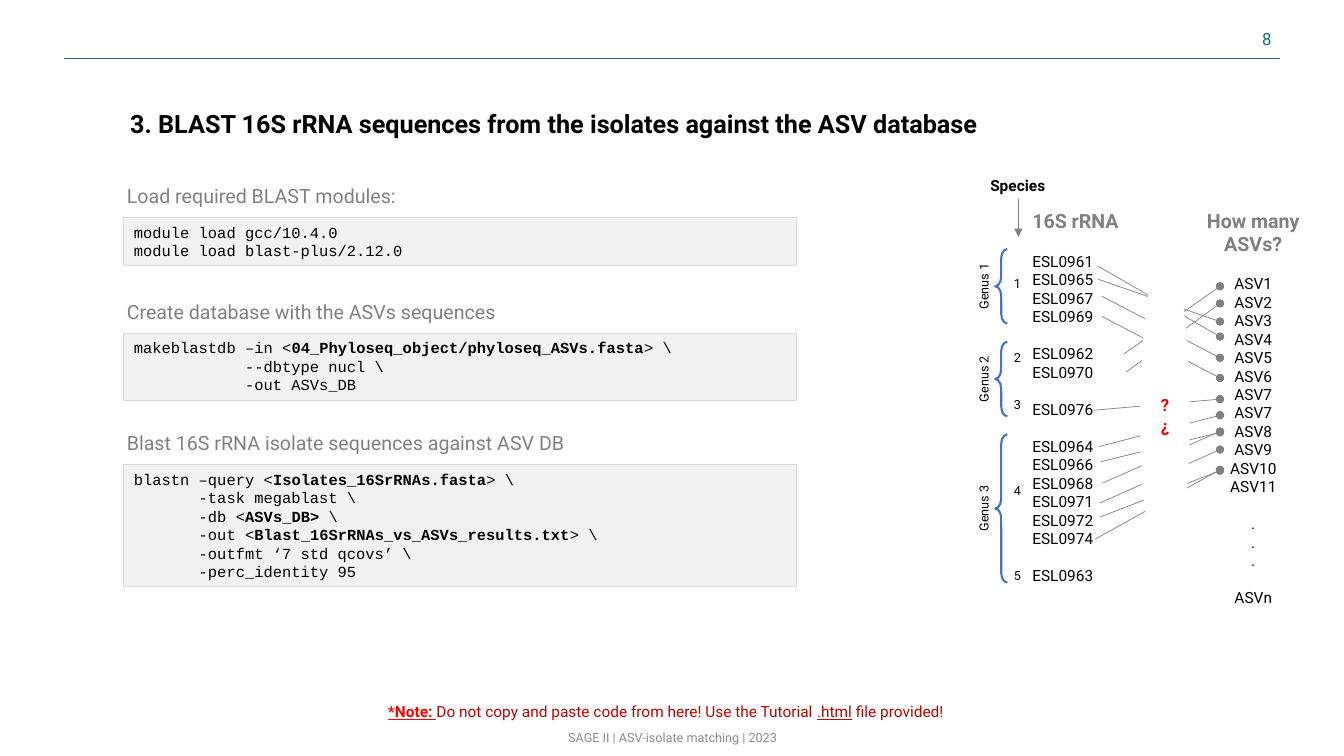
from pptx import Presentation
from pptx.dml.color import RGBColor
from pptx.enum.shapes import MSO_CONNECTOR as Conn, MSO_SHAPE as Form
from pptx.enum.text import MSO_ANCHOR as Anchor, PP_ALIGN as Align
from pptx.util import Inches, Pt
from lxml.etree import SubElement
from pptx.oxml.ns import qn

BLACK = RGBColor(0, 0, 0)
WHITE = RGBColor(255, 255, 255)
GREY = RGBColor(0x80, 0x80, 0x80)
PALE = RGBColor(0xF2, 0xF2, 0xF2)
EDGE = RGBColor(0xD9, 0xD9, 0xD9)
FOOT = RGBColor(0x8C, 0x8C, 0x8C)
TEAL = RGBColor(0x14, 0x6D, 0x85)
BLUE = RGBColor(0x44, 0x72, 0xC4)
RED = RGBColor(255, 0, 0)
DARK = RGBColor(0xC0, 0, 0)

deck = Presentation()
deck.slide_width, deck.slide_height = Inches(13.33), Inches(7.5)
col, row = deck.slide_width // 1333, deck.slide_height // 750
slide = deck.slides.add_slide(deck.slide_layouts[5])
shapes = slide.shapes


def write(place, lines, size, color, font="Roboto", align=Align.LEFT, bold=False,
          anchor=Anchor.TOP):
    if isinstance(place, tuple):
        x, y, w, h = place
        place = shapes.add_textbox(x * col, y * row, w * col, h * row)
    frame = place.text_frame
    frame.word_wrap = True
    frame.vertical_anchor = anchor
    for i, line in enumerate(lines):
        para = frame.add_paragraph() if i else frame.paragraphs[0]
        para.alignment = align
        for j, part in enumerate(line.split("|")):
            if part:
                run = para.add_run()
                run.text = part
                run.font.size, run.font.name = Pt(size), font
                run.font.color.rgb = color
                run.font.bold = bold or j % 2 == 1
    return place


def link(x, y, x2, y2, color, width, tail=None):
    line = shapes.add_connector(Conn.STRAIGHT, x * col, y * row, x2 * col, y2 * row)
    line.line.color.rgb = color
    line.line.width = Pt(width)
    if tail:
        SubElement(line.line._get_or_add_ln(), qn("a:tailEnd"), type=tail)
    SubElement(line._element.spPr, qn("a:effectLst"))


link(63, 58, 1270, 58, TEAL, 0.5)
write((1219, 21, 52, 36), ["8"], 12, TEAL, align=Align.RIGHT, anchor=Anchor.MIDDLE)

title = shapes.title
title.left, title.top = 119 * col, 102 * row
title.width, title.height = 1028 * col, 40 * row
write(title, ["3. BLAST 16S rRNA sequences from the isolates against the ASV database"],
      18, BLACK, bold=True)

steps = [
    (178, 47, "Load required BLAST modules:",
     ["module load gcc/10.4.0", "module load blast-plus/2.12.0"]),
    (293, 66, "Create database with the ASVs sequences",
     ["makeblastdb –in <|04_Phyloseq_object/phyloseq_ASVs.fasta|> \\",
      "            --dbtype nucl \\",
      "            -out ASVs_DB"]),
    (423, 121, "Blast 16S rRNA isolate sequences against ASV DB",
     ["blastn –query <|Isolates_16SrRNAs.fasta|> \\",
      "       -task megablast \\",
      "       -db <|ASVs_DB>| \\",
      "       -out <|Blast_16SrRNAs_vs_ASVs_results.txt|> \\",
      "       -outfmt ‘7 std qcovs’ \\",
      "       -perc_identity 95"]),
]
for y, tall, head, code in steps:
    write((116, y, 674, 34), [head], 14, GREY)
    panel = shapes.add_shape(Form.RECTANGLE, 123 * col, (y + 38) * row, 667 * col, tall * row)
    panel.shadow.inherit = False
    panel.fill.solid()
    panel.fill.fore_color.rgb = PALE
    panel.line.color.rgb = EDGE
    panel.line.width = Pt(0.75)
    write(panel, code, 11, BLACK, "Courier New")

genes = [[961, 965, 967, 969], [962, 970], [976], [964, 966, 968, 971, 972, 974], [963]]
asvs = [[f"ASV{n}" for n in (1, 2, 3, 4, 5, 6, 7, 7, 8, 9, 10, 11)], [".", ".", "."], ["ASVn"]]
lists = [
    ((1014, 202, 126, 387), "16S rRNA", [[f"ESL0{n}" for n in g] for g in genes],
     Align.LEFT, 14.2),
    ((1174, 202, 138, 409), "How many ASVs?", asvs, Align.CENTER, 13.2),
]
for place, head, groups, align, gap in lists:
    box = write(place, [head] + sum(groups, []), 11, BLACK, align=align)
    paras = box.text_frame.paragraphs
    font = paras[0].runs[0].font
    font.size, font.bold = Pt(14), True
    font.color.rgb = GREY
    start = 1
    for group in groups:
        paras[start].space_before = Pt(gap if start == 1 else 13.2)
        start += len(group)

for n, (y, tall) in enumerate([(247, 74), (339, 74), (431, 147)], 1):
    brace = shapes.add_shape(Form.LEFT_BRACE, 987 * col, y * row, 12 * col, tall * row)
    brace.shadow.inherit = False
    brace.adjustments[0] = 0.8
    brace.fill.background()
    brace.line.color.rgb = BLUE
    brace.line.width = Pt(1.5)
    genus = write((939, y + tall / 2 - 12.5, 73, 25), [f"Genus {n}"], 9, BLACK,
                  align=Align.CENTER)
    genus.rotation = 270

write((961, 170, 97, 29), ["Species"], 11, BLACK, align=Align.CENTER, bold=True)
for n, y in enumerate([269, 342, 389, 474, 558], 1):
    write((992, y, 34, 25), [str(n)], 9, BLACK, align=Align.CENTER)
link(1010, 197, 1010, 235, GREY, 1, "triangle")

pairs = [(1089, 264, 334), (1089, 277, 319), (1093, 294, 355), (1093, 314, 375),
         (1115, 351, 284), (1117, 369, 301), (1085, 407, 396), (1090, 443, 412),
         (1092, 458, 429), (1094, 479, 428), (1091, 499, 446), (1091, 513, 467),
         (1086, 535, 466)]
for x, y, end in pairs:
    link(x, y, 1210, end, GREY, 0.5, "oval")

veil = shapes.add_shape(Form.OVAL, 1131 * col, 251 * row, 49 * col, 322 * row)
veil.shadow.inherit = False
veil.fill.solid()
veil.fill.fore_color.rgb = WHITE
veil.line.fill.background()
write(veil, ["?¿"], 12, RED, align=Align.CENTER, bold=True, anchor=Anchor.MIDDLE)

note = write((375, 692, 606, 29),
             ["|*Note: |Do not copy and paste code from here! Use the Tutorial ||.html|| file provided!"],
             11, DARK)
runs = note.text_frame.paragraphs[0].runs
runs[0].font.color.rgb = RED
runs[0].font.underline = runs[2].font.underline = True

foot = write((442, 714, 450, 36), ["SAGE II ¦ ASV-isolate matching ¦ 2023"], 9, FOOT,
             align=Align.CENTER, anchor=Anchor.MIDDLE)
label = foot.text_frame.paragraphs[0].runs[0]
label.text = label.text.replace("¦", "|")

deck.save("out.pptx")
